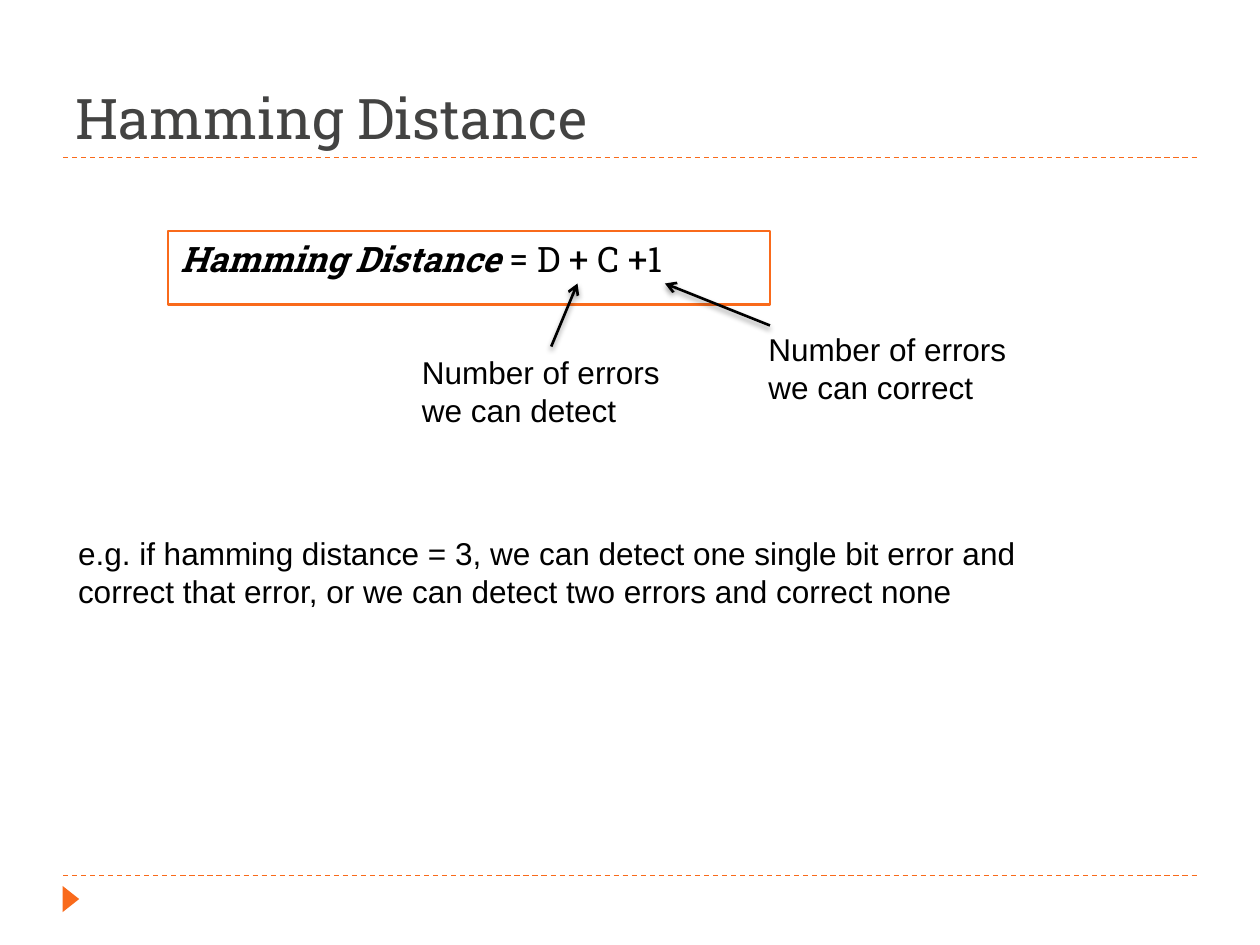
import pptx
import pptx.util
import pptx.dml.color
import pptx.enum.dml
import pptx.enum.shapes
import pptx.enum.text
import pptx.oxml
import pptx.oxml.ns

Pt = pptx.util.Pt


def color(value):
    return pptx.dml.color.RGBColor.from_string(value)


class SlideBuilder:
    """Draw styled elements on the current slide, with lengths in points."""

    ACCENT = "F96A1B"
    INK = "000000"
    TITLE_INK = "434342"
    PAPER = "FFFFFF"
    HEADING_FONT = "Roboto Slab"
    BODY_FONT = "Arial"

    def __init__(self, page):
        self.page = page

    def add_span(self, para, text, size, font, ink, strong=False):
        span = para.add_run()
        span.text = text
        span.font.size = Pt(size)
        span.font.name = font
        span.font.bold = span.font.italic = strong
        span.font.color.rgb = color(ink)

    def title(self, text, left, top, width, height):
        box = self.page.shapes.title
        box.left, box.top, box.width, box.height = map(Pt, (left, top, width, height))
        box.text_frame.vertical_anchor = pptx.enum.text.MSO_ANCHOR.BOTTOM
        para = box.text_frame.paragraphs[0]
        para.alignment = pptx.enum.text.PP_ALIGN.LEFT
        self.add_span(para, text, 32, self.HEADING_FONT, self.TITLE_INK)

    def label(self, text, left, top, width, height=51):
        box = self.page.shapes.add_textbox(*map(Pt, (left, top, width, height)))
        box.text_frame.word_wrap = True
        box.text_frame.auto_size = pptx.enum.text.MSO_AUTO_SIZE.SHAPE_TO_FIT_TEXT
        self.add_span(box.text_frame.paragraphs[0], text, 18, self.BODY_FONT, self.INK)

    def shape(self, kind, left, top, width, height, fill):
        shape = self.page.shapes.add_shape(kind, *map(Pt, (left, top, width, height)))
        shape.shadow.inherit = False
        shape.fill.solid()
        shape.fill.fore_color.rgb = color(fill)
        shape.line.fill.background()
        return shape

    def formula(self, name, expression, left, top, width, height):
        box = self.shape(pptx.enum.shapes.MSO_SHAPE.RECTANGLE, left, top, width, height, self.PAPER)
        box.line.color.rgb = color(self.ACCENT)
        box.line.width = Pt(1.5)
        box.text_frame.word_wrap = True
        box.text_frame.vertical_anchor = pptx.enum.text.MSO_ANCHOR.TOP
        para = box.text_frame.paragraphs[0]
        para.alignment = pptx.enum.text.PP_ALIGN.LEFT
        self.add_span(para, name, 20, self.HEADING_FONT, self.INK, strong=True)
        self.add_span(para, expression, 20, self.HEADING_FONT, self.INK)

    def marker(self, left, top, width, height):
        kind = pptx.enum.shapes.MSO_SHAPE.ISOSCELES_TRIANGLE
        self.shape(kind, left, top, width, height, self.ACCENT).rotation = 90

    def line(self, start, end, ink, weight):
        line = self.page.shapes.add_connector(
            pptx.enum.shapes.MSO_CONNECTOR.STRAIGHT, *map(Pt, start + end))
        line.line.color.rgb = color(ink)
        line.line.width = Pt(weight)
        effects = pptx.oxml.parse_xml(f'<a:effectLst {pptx.oxml.ns.nsdecls("a")}/>')
        line._element.spPr.append(effects)
        return line, effects

    def rule(self, top):
        line, _ = self.line((36, top), (684, top), self.ACCENT, 0.75)
        line.line.dash_style = pptx.enum.dml.MSO_LINE.DASH

    def arrow(self, start, end):
        line, effects = self.line(start, end, self.INK, 1.5)
        namespace = pptx.oxml.ns.nsdecls("a")
        line.line._get_or_add_ln().append(
            pptx.oxml.parse_xml(f'<a:tailEnd {namespace} type="arrow"/>'))
        effects.append(pptx.oxml.parse_xml(
            f'<a:outerShdw {namespace} blurRad="{Pt(3)}" dist="{Pt(2)}" dir="5400000" '
            f'rotWithShape="0"><a:srgbClr val="{self.INK}"><a:alpha val="40000"/>'
            '</a:srgbClr></a:outerShdw>'))


def main():
    deck = pptx.Presentation()
    deck.slide_width, deck.slide_height = Pt(720), Pt(540)
    builder = SlideBuilder(deck.slides.add_slide(deck.slide_layouts[5]))
    for top in (500.4, 90):
        builder.rule(top)
    builder.marker(33, 509, 15, 9.5)
    builder.title("Hamming Distance", 36, 12, 648, 78)
    builder.formula("Hamming Distance", " = D + C +1", 96, 132, 344, 42)
    builder.label("Number of errors we can detect", 234, 198, 163)
    builder.label("Number of errors we can correct", 432, 185, 171)
    builder.arrow((315, 198), (330, 162))
    builder.arrow((440, 186), (380, 162))
    builder.label(
        "e.g. if hamming distance = 3, we can detect one single bit error and "
        "correct that error, or we can detect two errors and correct none",
        37.5, 301.5, 574.5)
    deck.save("out.pptx")


if __name__ == "__main__":
    main()
